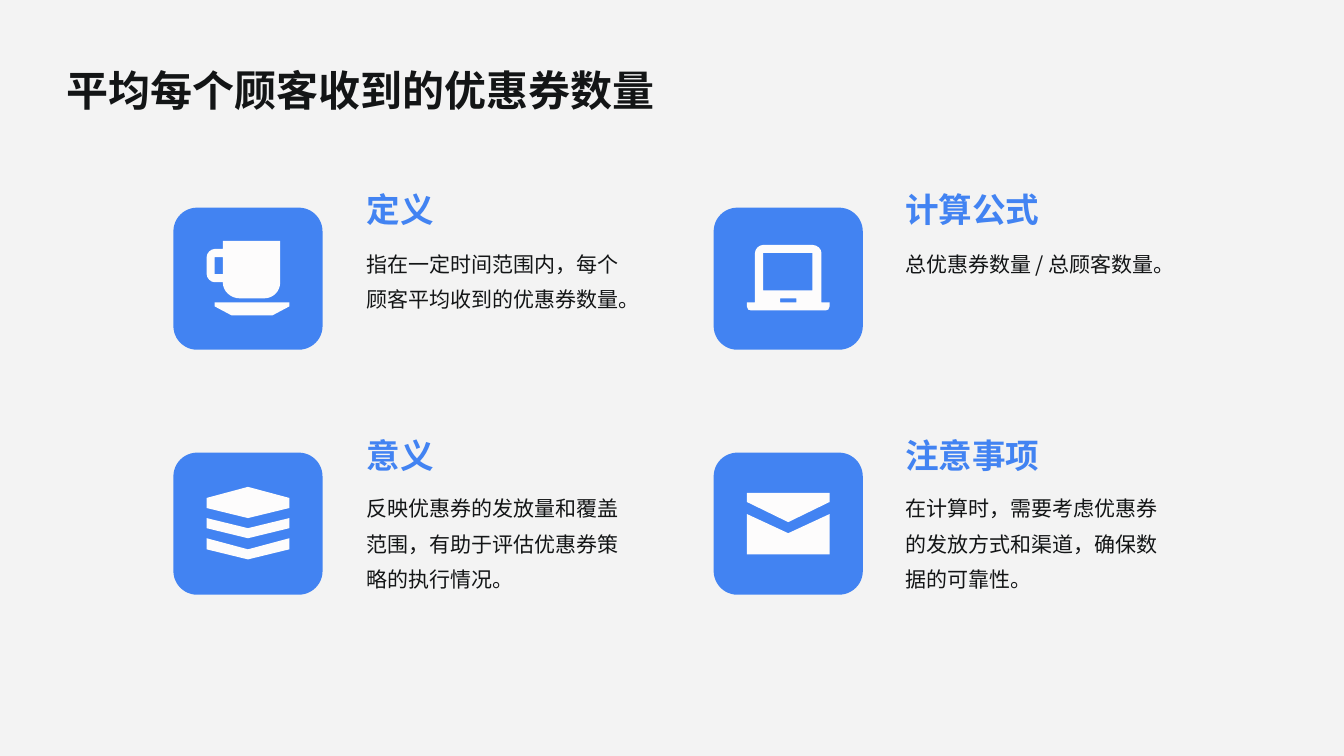
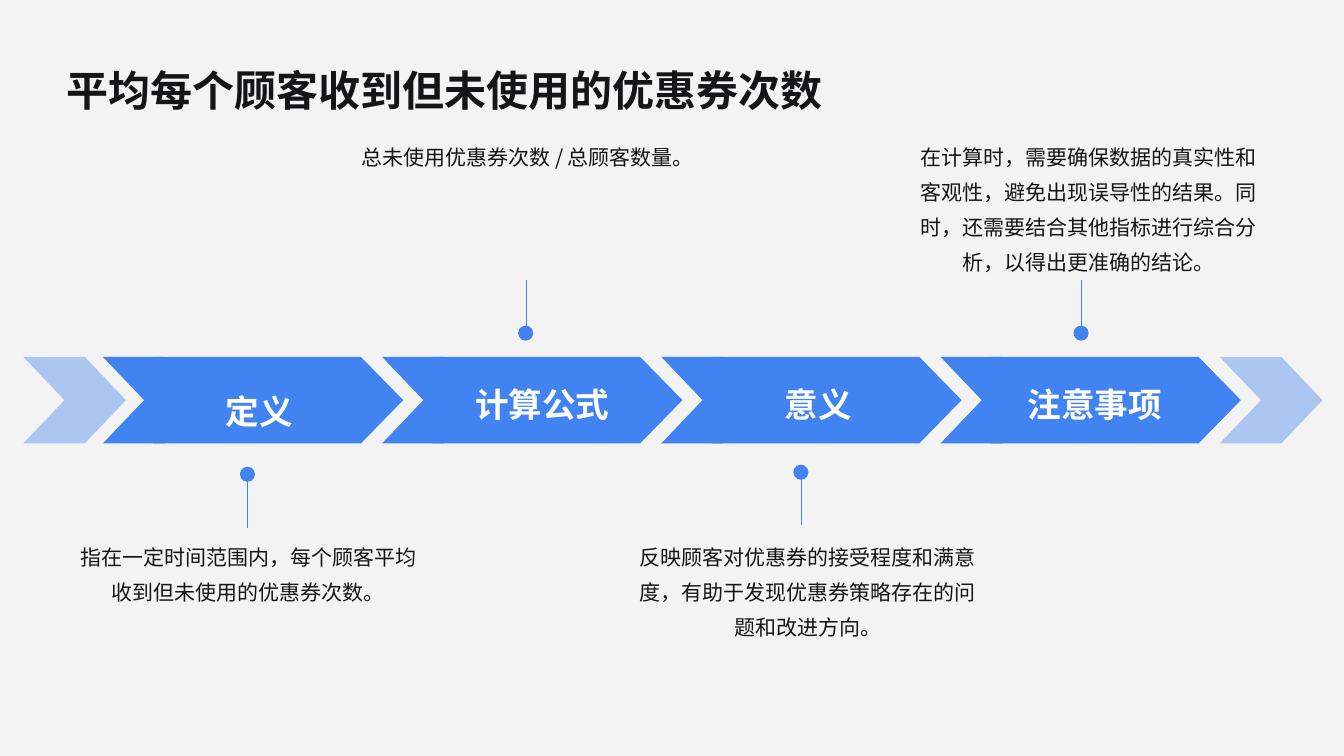
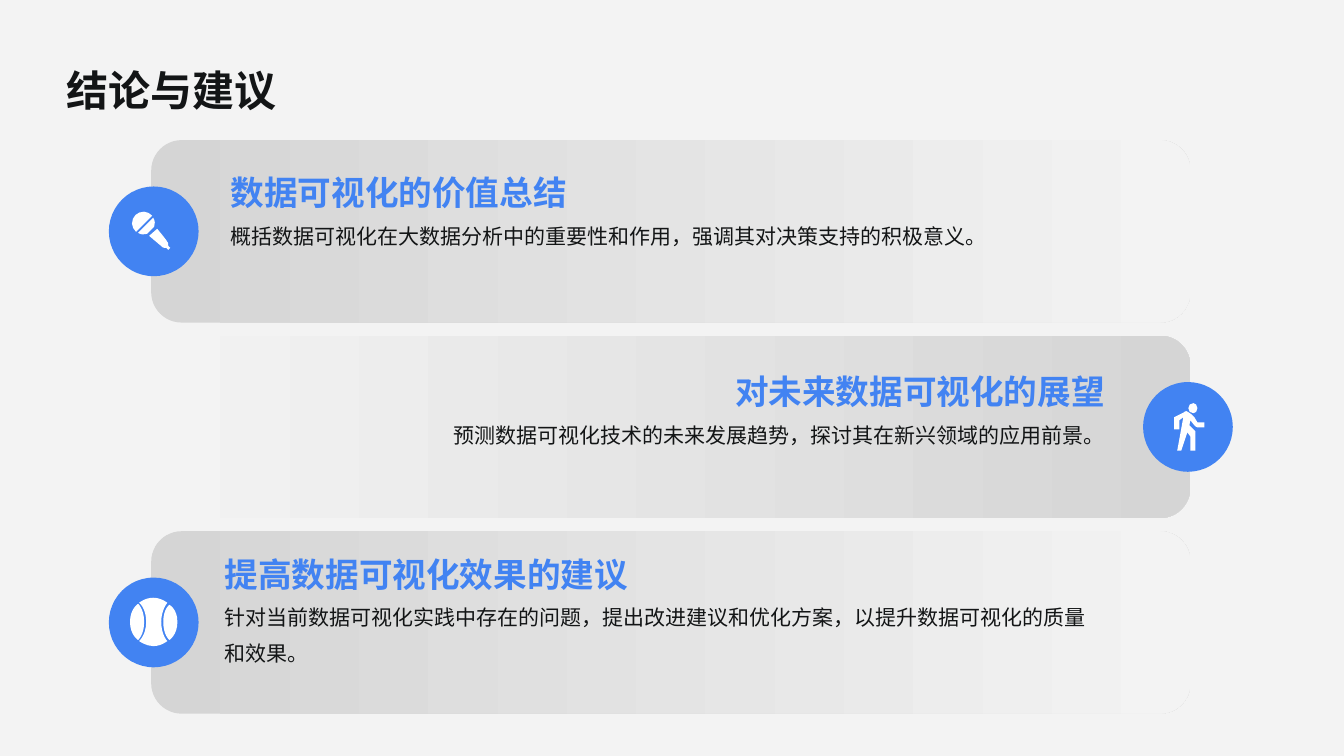
import pptx
import pptx.dml.color
import pptx.enum.shapes
import pptx.enum.text
import pptx.oxml.ns
import pptx.util
from lxml import etree

Inches = pptx.util.Inches
Pt = pptx.util.Pt
SHAPE = pptx.enum.shapes.MSO_SHAPE
ALIGN = pptx.enum.text.PP_ALIGN
ANCHOR = pptx.enum.text.MSO_ANCHOR
qn = pptx.oxml.ns.qn

# Shared look
FONT = "Noto Sans CJK SC"
BACKGROUND, BLUE, INK = "F3F3F3", "4283F2", "131516"
WHITE, ICON_WHITE, GREY = "FFFFFF", "FDFCFC", "D5D5D5"
TITLE = dict(size=30, bold=True, spacing=1.4)
HEADING = dict(size=24, bold=True, spacing=1.2)
BODY = dict(size=15, bold=False, spacing=1.4)
TITLE_INSETS = (0.14, 0.14, 0.06, 0.14)
WIDE_INSETS = (0.12, 0.06, 0.12, 0.06)
SNUG_INSETS = (0.07, 0.04, 0.07, 0.04)
PLAIN_INSETS = (0.1, 0.05, 0.1, 0.05)

# Outlines in hundredths of an inch: M move, L lines, C cubic curves
CHEVRON = "M 0 0 L 61 0 102 43 61 86 0 86 41 43"
CUP = ("M 16 45 L 8 45 C 4 45 0 41 0 37 L 0 20 C 0 16 4 12 8 12 L 16 12 16 4 73 4 73 45 "
       "C 73 54 66 61 57 61 L 33 61 C 24 61 16 54 16 45 "
       "M 16 37 L 16 20 8 20 8 37 M 8 69 L 8 65 82 65 82 69 65 78 25 78")
LAPTOP = ("M 74 65 L 82 65 82 69 C 82 72 80 73 78 73 L 4 73 C 2 73 0 72 0 69 L 0 65 8 65 8 16 "
          "C 8 12 12 8 16 8 L 65 8 C 70 8 74 12 74 16 "
          "M 16 16 L 16 53 65 53 65 16 M 33 61 L 33 65 49 65 49 61")
LAYERS = ("M 0 56 L 41 67 82 56 82 67 41 77 0 67 M 0 36 L 41 46 82 36 82 46 41 56 0 46 "
          "M 0 16 L 41 5 82 16 82 26 41 36 0 26")
ENVELOPE = "M 41 40 L 82 20 82 11 0 11 0 20 M 41 51 L 0 32 0 72 82 72 82 32"
BALL = ("M 38 30 C 38 18 44 11 44 11 44 11 38 6 30 6 22 6 16 11 16 11 16 11 23 16 23 30 "
        "23 43 16 49 16 49 16 49 23 54 30 54 38 54 44 49 44 49 44 49 38 43 38 30 "
        "M 15 12 C 15 12 7 17 7 30 7 43 15 48 15 48 15 48 21 43 21 30 21 17 15 12 15 12 "
        "M 46 13 C 46 13 40 17 40 30 40 43 46 48 46 48 46 48 54 43 54 30 54 17 46 13 46 13")
MICROPHONE = ("M 25 18 C 26 15 26 12 24 9 L 9 24 C 12 26 15 26 18 25 "
              "M 23 7 C 21 5 18 3 15 3 8 3 3 8 3 15 3 18 5 21 7 23 "
              "M 39 37 C 39 37 39 33 38 33 38 32 28 20 28 20 L 20 27 33 38 "
              "C 33 39 37 39 37 39 L 39 41 41 39")
WALKER = ("M 25 17 L 29 22 C 30 23 31 24 32 24 L 39 24 39 19 32 19 29 14 C 28 13 27 12 26 11 "
          "L 23 9 C 22 8 21 8 21 8 20 8 19 8 19 9 L 9 14 9 26 14 26 14 17 18 14 12 47 16 47 "
          "22 29 25 33 25 47 30 47 30 28 24 22 "
          "M 28 10 C 30 10 32 8 32 5 32 2 30 0 28 0 25 0 23 2 23 5 23 8 25 10 28 10")


def color(hex_string):
    return pptx.dml.color.RGBColor.from_string(hex_string)


def paint(shape, fill, opacity=None):
    shape.shadow.inherit = False
    shape.line.fill.background()
    shape.fill.solid()
    shape.fill.fore_color.rgb = color(fill)
    if opacity is not None:
        tint = shape._element.spPr.find(".//" + qn("a:srgbClr"))
        etree.SubElement(tint, qn("a:alpha")).set("val", str(opacity * 1000))


def add_preset(slide, preset, box, fill=BLUE, corner=None):
    shape = slide.shapes.add_shape(preset, *map(Inches, box))
    if corner is not None:
        shape.adjustments[0] = corner
    paint(shape, fill)
    return shape


def add_fading_panel(slide, box, start, end):
    panel = add_preset(slide, SHAPE.ROUNDED_RECTANGLE, box, corner=0.167)
    panel.fill.gradient()
    panel.fill.gradient_angle = 0
    for stop, shade in zip(panel.fill.gradient_stops, (start, end)):
        stop.color.rgb = color(shade)


def read_outline(outline):
    """Return the loops of points, and the command that each later point belongs to."""
    loops, commands, command = [], [], ""
    tokens = iter(outline.split())
    for token in tokens:
        if token in "MLC":
            command = token
            continue
        point = (Inches(float(token) / 100), Inches(float(next(tokens)) / 100))
        if command == "M":
            loops.append([point])
        else:
            loops[-1].append(point)
            commands.append(command)
    return loops, commands


def bend_curves(path_element, commands):
    """Merge each three curve points, drawn as lines, into one cubic segment."""
    curve = None
    for line, command in zip(list(path_element.iter(qn("a:lnTo"))), commands):
        if command == "L":
            continue
        if curve is None:
            curve = etree.Element(qn("a:cubicBezTo"))
            line.addprevious(curve)
        curve.append(line[0])
        path_element.remove(line)
        if len(curve) == 3:
            curve = None


def frame_outline(shape, path_element, frame):
    """Give the outline the given frame without moving its points."""
    left, top, width, height = map(Inches, frame)
    for point in path_element.iter(qn("a:pt")):
        point.set("x", str(int(point.get("x")) + shape.left - left))
        point.set("y", str(int(point.get("y")) + shape.top - top))
    path_element.set("w", str(width))
    path_element.set("h", str(height))
    shape.left, shape.top, shape.width, shape.height = left, top, width, height


def add_outline(slide, outline, frame, fill, opacity=None):
    loops, commands = read_outline(outline)
    builder = slide.shapes.build_freeform(*loops[0][0])
    for index, loop in enumerate(loops):
        if index:
            builder.move_to(*loop[0])
        builder.add_line_segments(loop[1:], close=False)
        builder.add_line_segments([], close=True)
    shape = builder.convert_to_shape(Inches(frame[0]), Inches(frame[1]))
    path_element = shape._element.spPr.find(".//" + qn("a:path"))
    bend_curves(path_element, commands)
    frame_outline(shape, path_element, frame)
    paint(shape, fill, opacity)


def add_text(slide, text, box, style, ink, insets=WIDE_INSETS, anchor=ANCHOR.TOP,
             align=ALIGN.LEFT):
    frame = slide.shapes.add_textbox(*map(Inches, box)).text_frame
    frame.word_wrap = True
    frame.vertical_anchor = anchor
    (frame.margin_left, frame.margin_top,
     frame.margin_right, frame.margin_bottom) = map(Inches, insets)
    paragraph = frame.paragraphs[0]
    paragraph.text = text
    paragraph.alignment = align
    paragraph.line_spacing = style["spacing"]
    font = paragraph.font
    font.size, font.bold, font.name = Pt(style["size"]), style["bold"], FONT
    font.color.rgb = color(ink)
    etree.SubElement(font._element, qn("a:ea")).set("typeface", FONT)


def add_pin(slide, x, line_top, dot_top):
    stem = slide.shapes.add_connector(pptx.enum.shapes.MSO_CONNECTOR.STRAIGHT, Inches(x),
                                      Inches(line_top), Inches(x), Inches(line_top + 0.51))
    stem.line.color.rgb = color(BLUE)
    stem.line.width = Pt(0.75)
    etree.SubElement(stem._element.spPr, qn("a:effectLst"))
    add_preset(slide, SHAPE.OVAL, (x - 0.08, dot_top, 0.15, 0.15))


def add_titled_slide(deck, title):
    slide = deck.slides.add_slide(deck.slide_layouts[6])
    add_text(slide, title, (0.52, 0.29, 12.29, 1), TITLE, INK, TITLE_INSETS, ANCHOR.MIDDLE)
    return slide


def build_received(deck):
    slide = add_titled_slide(deck, "平均每个顾客收到的优惠券数量")
    cards = [
        (CUP, "定义", "指在一定时间范围内，每个顾客平均收到的优惠券数量。"),
        (LAPTOP, "计算公式", "总优惠券数量 / 总顾客数量。"),
        (LAYERS, "意义", "反映优惠券的发放量和覆盖范围，有助于评估优惠券策略的执行情况。"),
        (ENVELOPE, "注意事项", "在计算时，需要考虑优惠券的发放方式和渠道，确保数据的可靠性。"),
    ]
    for index, (icon, heading, body) in enumerate(cards):
        row, column = divmod(index, 2)
        tile_left, text_left = 1.72 + 5.36 * column, 3.54 + 5.34 * column
        top = 2.06 + 2.43 * row
        add_preset(slide, SHAPE.ROUNDED_RECTANGLE, (tile_left, top, 1.48, 1.41), corner=0.167)
        add_outline(slide, icon, (tile_left + 0.33, top + 0.29, 0.82, 0.82), ICON_WHITE)
        add_text(slide, heading, (text_left, 1.91 + 2.44 * row, 2.92, 0.41), HEADING, BLUE,
                 PLAIN_INSETS, ANCHOR.BOTTOM)
        add_text(slide, body, (text_left + 0.03, top + 0.29, 2.84, 1.19), BODY, INK, SNUG_INSETS)


def build_unused(deck):
    slide = add_titled_slide(deck, "平均每个顾客收到但未使用的优惠券次数")
    band_top, band_left, step = 3.54, 1.02, 2.77
    chevron_size = (1.02, 0.86)
    above, below = 1.27, 5.24
    # Label, label left, label anchor, pin (x, line top, dot top), note left and top, note
    stages = [
        ("定义", 1.25, ANCHOR.TOP, (2.46, 4.73, 4.63), (0.63, below),
         "指在一定时间范围内，每个顾客平均收到但未使用的优惠券次数。"),
        ("计算公式", 4.06, ANCHOR.MIDDLE, (5.22, 2.78, 3.23), (3.4, above),
         "总未使用优惠券次数 / 总顾客数量。"),
        ("意义", 6.8, ANCHOR.MIDDLE, (7.95, 4.7, 4.61), (6.18, below),
         "反映顾客对优惠券的接受程度和满意度，有助于发现优惠券策略存在的问题和改进方向。"),
        ("注意事项", 9.54, ANCHOR.MIDDLE, (10.73, 2.78, 3.23), (8.96, above),
         "在计算时，需要确保数据的真实性和客观性，避免出现误导性的结果。"
         "同时，还需要结合其他指标进行综合分析，以得出更准确的结论。"),
    ]
    # Pale chevrons at both ends of the band
    for left in (0.23, band_left + step * len(stages)):
        add_outline(slide, CHEVRON, (left, band_top, *chevron_size), BLUE, opacity=40)
    for index, (label, label_left, anchor, pin, note_corner, note) in enumerate(stages):
        left = band_left + step * index
        add_outline(slide, CHEVRON, (left, band_top, *chevron_size), BLUE)
        add_preset(slide, SHAPE.PENTAGON, (left + 0.5, band_top, 2.48, 0.86), corner=0.489)
        add_text(slide, label, (label_left, 3.74, 2.64, 0.45), HEADING, WHITE,
                 anchor=anchor, align=ALIGN.CENTER)
        add_pin(slide, *pin)
        add_text(slide, note, (*note_corner, 3.67, 1.58), BODY, INK, align=ALIGN.CENTER)


def build_conclusion(deck):
    slide = add_titled_slide(deck, "结论与建议")
    # Icon, its inset in the badge and size, badge left, text left and top, align, texts
    points = [
        (MICROPHONE, (0.2, 0.22), 0.44, 1.08, 2.17, 1.56, ALIGN.LEFT, "数据可视化的价值总结",
         "概括数据可视化在大数据分析中的重要性和作用，强调其对决策支持的积极意义。"),
        (WALKER, (0.22, 0.21), 0.46, 11.34, 2.11, 3.53, ALIGN.RIGHT, "对未来数据可视化的展望",
         "预测数据可视化技术的未来发展趋势，探讨其在新兴领域的应用前景。"),
        (BALL, (0.14, 0.14), 0.61, 1.08, 2.11, 5.34, ALIGN.LEFT, "提高数据可视化效果的建议",
         "针对当前数据可视化实践中存在的问题，提出改进建议和优化方案，"
         "以提升数据可视化的质量和效果。"),
    ]
    for index, (icon, inset, size, badge_left, left, top, align, heading,
                body) in enumerate(points):
        panel_top = 1.39 + 1.94 * index
        badge_top = panel_top + 0.46
        shades = (BACKGROUND, GREY) if align == ALIGN.RIGHT else (GREY, BACKGROUND)
        add_fading_panel(slide, (1.5, panel_top, 10.31, 1.81), *shades)
        add_preset(slide, SHAPE.OVAL, (badge_left, badge_top, 0.89, 0.89))
        add_outline(slide, icon, (badge_left + inset[0], badge_top + inset[1], size, size), WHITE)
        add_text(slide, heading, (left, top, 8.97, 0.62), HEADING, BLUE,
                 anchor=ANCHOR.MIDDLE, align=align)
        add_text(slide, body, (left, top + 0.5, 8.97, 0.85), BODY, INK, align=align)


def main():
    deck = pptx.Presentation()
    deck.slide_height = Inches(7.5)
    deck.slide_width = deck.slide_height * 16 // 9
    backdrop = deck.slide_master.background.fill
    backdrop.solid()
    backdrop.fore_color.rgb = color(BACKGROUND)
    build_received(deck)
    build_unused(deck)
    build_conclusion(deck)
    deck.save("out.pptx")


if __name__ == "__main__":
    main()
